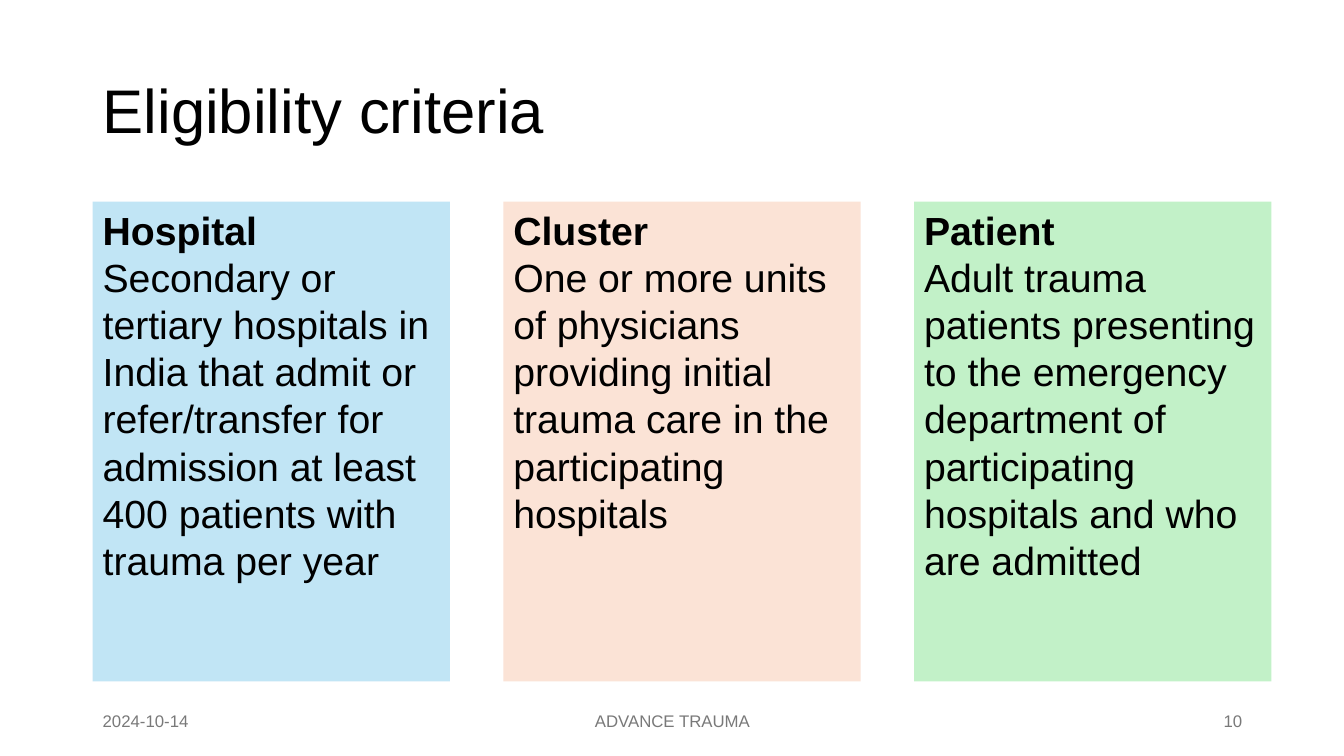
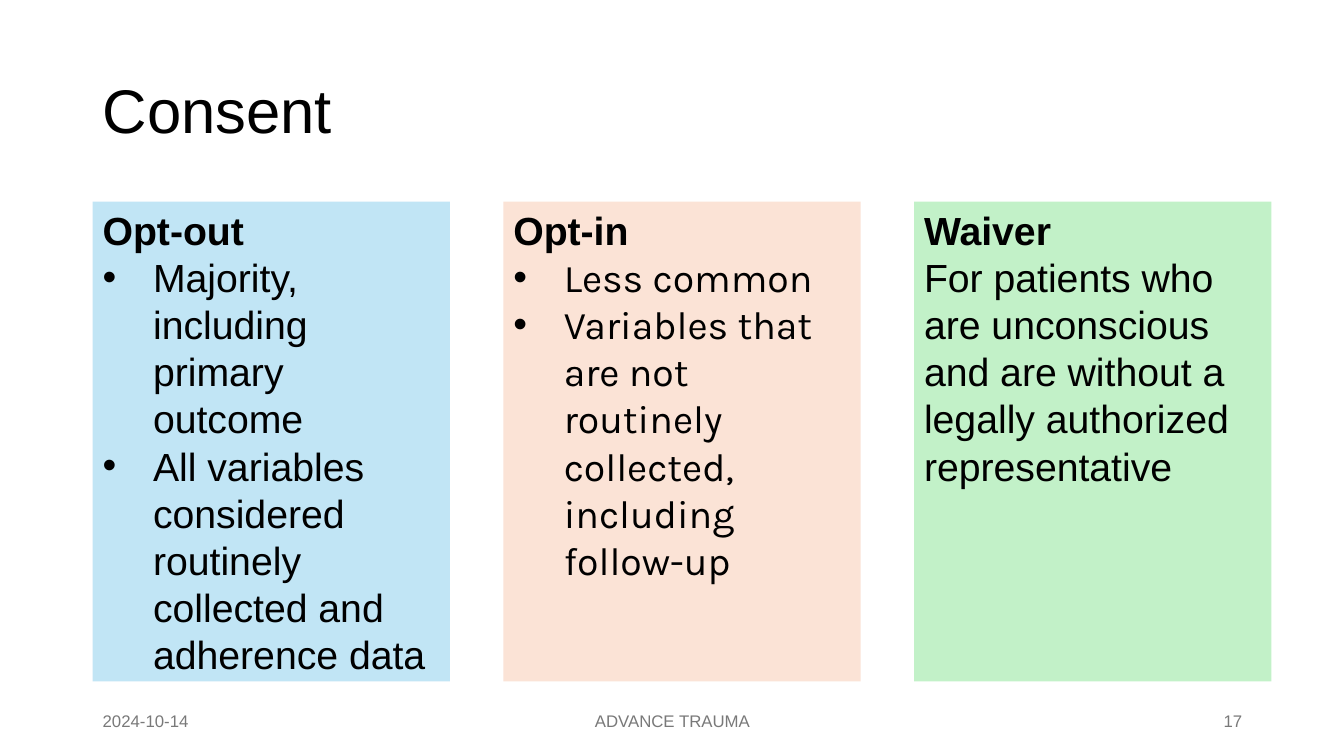
from dataclasses import dataclass

from lxml import etree
from pptx import Presentation
from pptx.dml.color import RGBColor
from pptx.enum.shapes import MSO_SHAPE
from pptx.enum.text import MSO_ANCHOR, PP_ALIGN
from pptx.oxml.ns import qn
from pptx.util import Inches, Pt

RECTANGLE = MSO_SHAPE.RECTANGLE
TOP, MIDDLE = MSO_ANCHOR.TOP, MSO_ANCHOR.MIDDLE
LEFT, CENTER, RIGHT = PP_ALIGN.LEFT, PP_ALIGN.CENTER, PP_ALIGN.RIGHT


@dataclass(frozen=True)
class Theme:
    """Colours, fonts and type sizes shared by the slides."""

    ink: str = "000000"
    muted: str = "797979"
    paper: str = "FFFFFF"
    cards: tuple = ("C1E5F5", "FBE3D6", "C2F1C8")
    font: str = "Arial"
    alternate_font: str = "Karla"
    title_size: int = 44
    body_size: int = 28
    footer_size: int = 12


@dataclass(frozen=True)
class Box:
    """A region in inches."""

    left: float
    top: float
    width: float
    height: float

    def emu(self):
        """Return the region in the units of the file."""
        return [Inches(v) for v in (self.left, self.top, self.width, self.height)]

    def columns(self, count, gap):
        """Split the region into equal columns."""
        width = (self.width - gap * (count - 1)) / count
        return [Box(self.left + i * (width + gap), self.top, width, self.height)
                for i in range(count)]


@dataclass(frozen=True)
class Card:
    """A heading with one or more statements."""

    heading: str
    statements: tuple
    bulleted: bool = False
    font: str = Theme.font


THEME = Theme()
SLIDE_WIDTH, SLIDE_HEIGHT = 13.33, 7.5
MARGIN = 0.92
TITLE_BOX = Box(MARGIN, 0.4, 11.5, 1.45)
CARDS_BOX = Box(MARGIN, 2, 11.69, 4.76)
CARD_GAP = 0.53
FOOTER_BOX = Box(MARGIN, 6.95, 11.5, 0.4)
FOOTER_SIDE, FOOTER_MIDDLE = 3, 4.5
BULLET_INDENT = 0.5
DATE, STUDY = "2024-10-14", "ADVANCE TRAUMA"

SLIDES = (
    ("Eligibility criteria", 10, (
        Card("Hospital", ("Secondary or tertiary hospitals in India that admit or "
                          "refer/transfer for admission at least 400 patients with "
                          "trauma per year",)),
        Card("Cluster", ("One or more units of physicians providing initial trauma "
                         "care in the participating hospitals",)),
        Card("Patient", ("Adult trauma patients presenting to the emergency department "
                         "of participating hospitals and who are admitted",)),
    )),
    ("Consent", 17, (
        Card("Opt-out", ("Majority, including primary outcome",
                         "All variables considered routinely collected and "
                         "adherence data"), bulleted=True),
        Card("Opt-in", ("Less common",
                        "Variables that are not routinely collected, including "
                        "follow-up"), bulleted=True, font=THEME.alternate_font),
        Card("Waiver", ("For patients who are unconscious and are without a legally "
                        "authorized representative",)),
    )),
)


def add_run(paragraph, text, size, color=THEME.ink, font=THEME.font, bold=False):
    """Append one styled run."""
    run = paragraph.add_run()
    run.text = text
    run.font.size = Pt(size)
    run.font.name = font
    run.font.bold = bold
    run.font.color.rgb = RGBColor.from_string(color)


def add_bullet(paragraph):
    """Give a paragraph a hanging round bullet."""
    properties = paragraph._p.get_or_add_pPr()
    properties.set("marL", str(Inches(BULLET_INDENT)))
    properties.set("indent", str(-Inches(BULLET_INDENT)))
    etree.SubElement(properties, qn("a:buFont")).set("typeface", THEME.font)
    etree.SubElement(properties, qn("a:buChar")).set("char", "•")


def add_line(slide, box, text, size, color=THEME.ink, align=LEFT):
    """Place a vertically centred text box and return its paragraph."""
    frame = slide.shapes.add_textbox(*box.emu()).text_frame
    frame.word_wrap = True
    frame.vertical_anchor = MIDDLE
    paragraph = frame.paragraphs[0]
    paragraph.alignment = align
    add_run(paragraph, text, size, color)
    return paragraph


def add_title(slide, box, title):
    """Place the slide title."""
    add_line(slide, box, title, THEME.title_size).line_spacing = 0.9


def add_footer(slide, box, number):
    """Place date, study name and slide number along the footer."""
    middle_left = box.left + (box.width - FOOTER_MIDDLE) / 2
    right_left = box.left + box.width - FOOTER_SIDE
    for left, width, text, align in (
        (box.left, FOOTER_SIDE, DATE, LEFT),
        (middle_left, FOOTER_MIDDLE, STUDY, CENTER),
        (right_left, FOOTER_SIDE, str(number), RIGHT),
    ):
        add_line(slide, Box(left, box.top, width, box.height), text,
                 THEME.footer_size, THEME.muted, align)


def add_card(slide, box, card, color):
    """Place one coloured card with its heading and statements."""
    panel = slide.shapes.add_shape(RECTANGLE, *box.emu())
    panel.shadow.inherit = False
    panel.fill.solid()
    panel.fill.fore_color.rgb = RGBColor.from_string(color)
    panel.line.fill.background()
    frame = panel.text_frame
    frame.word_wrap = True
    frame.vertical_anchor = TOP
    heading = frame.paragraphs[0]
    heading.alignment = LEFT
    add_run(heading, card.heading, THEME.body_size, bold=True)
    for text in card.statements:
        statement = frame.add_paragraph()
        statement.alignment = LEFT
        if card.bulleted:
            add_bullet(statement)
        add_run(statement, text, THEME.body_size, font=card.font)


def add_card_slide(deck, title, number, cards):
    """Add a slide with a title, a row of cards and a footer."""
    slide = deck.slides.add_slide(deck.slide_layouts[6])
    slide.background.fill.solid()
    slide.background.fill.fore_color.rgb = RGBColor.from_string(THEME.paper)
    add_title(slide, TITLE_BOX, title)
    add_footer(slide, FOOTER_BOX, number)
    columns = CARDS_BOX.columns(len(cards), CARD_GAP)
    for box, card, color in zip(columns, cards, THEME.cards):
        add_card(slide, box, card, color)


def main():
    """Build and save the deck."""
    deck = Presentation()
    deck.slide_width = Inches(SLIDE_WIDTH)
    deck.slide_height = Inches(SLIDE_HEIGHT)
    for title, number, cards in SLIDES:
        add_card_slide(deck, title, number, cards)
    deck.save("out.pptx")


if __name__ == "__main__":
    main()
